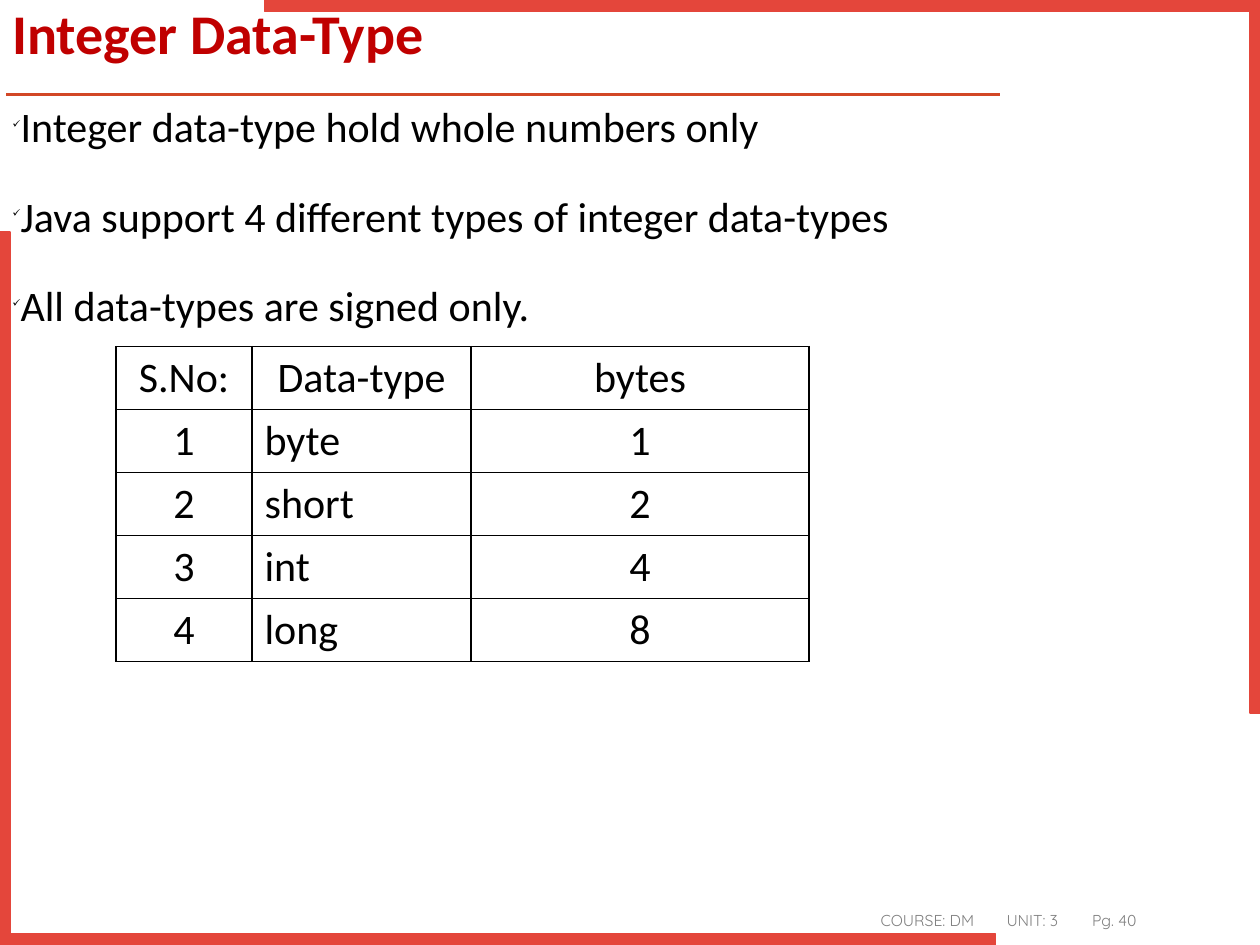
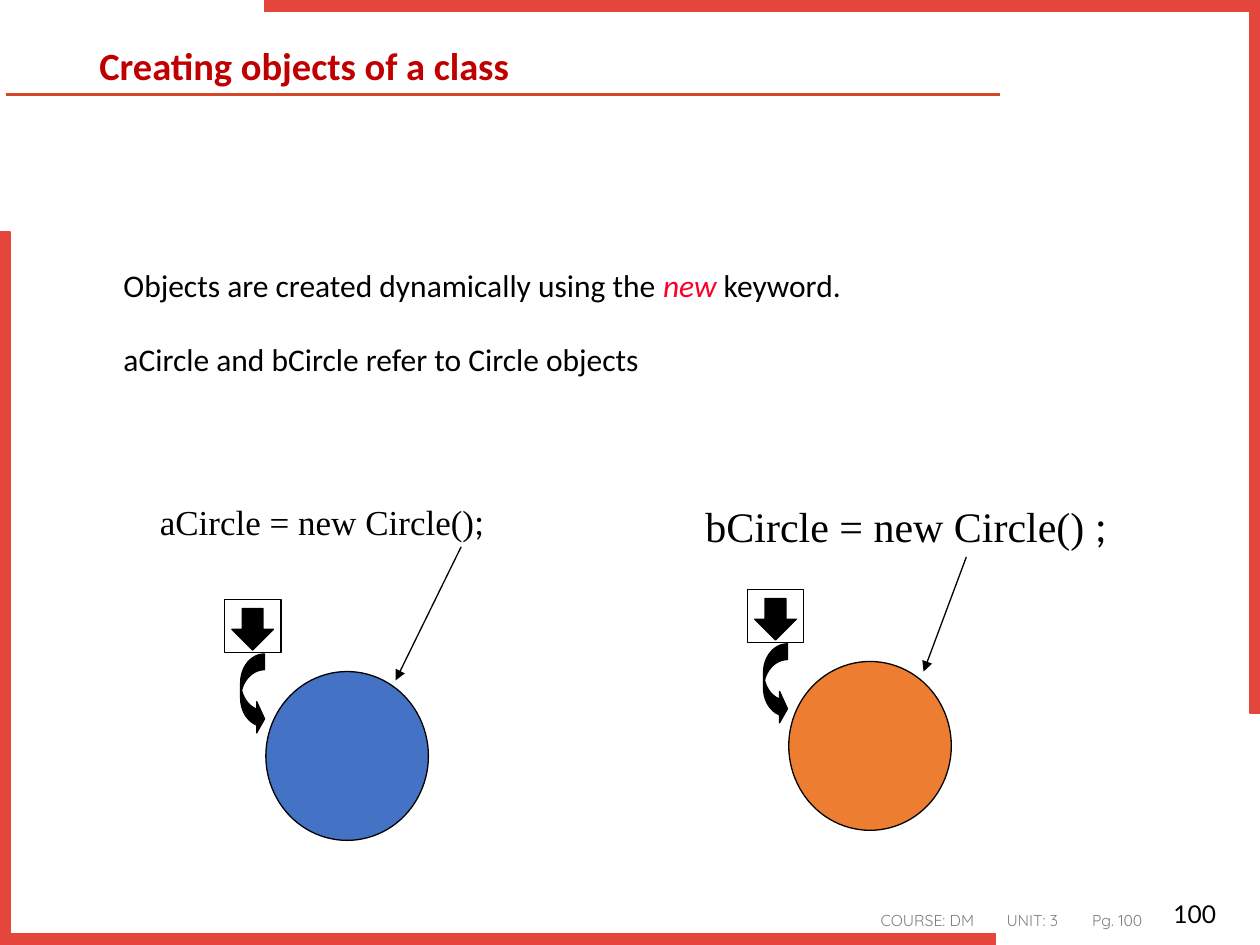
from dataclasses import dataclass

from lxml import etree
from pptx import Presentation
from pptx.dml.color import RGBColor
from pptx.enum.shapes import MSO_CONNECTOR, MSO_SHAPE
from pptx.enum.text import MSO_ANCHOR, PP_ALIGN
from pptx.oxml.ns import qn
from pptx.util import Inches, Pt

STRAIGHT = MSO_CONNECTOR.STRAIGHT
CORNER, RECTANGLE, OVAL = MSO_SHAPE.CORNER, MSO_SHAPE.RECTANGLE, MSO_SHAPE.OVAL
CURVED_ARROW, DOWN_ARROW = MSO_SHAPE.CURVED_RIGHT_ARROW, MSO_SHAPE.DOWN_ARROW
TOP, MIDDLE, BOTTOM = MSO_ANCHOR.TOP, MSO_ANCHOR.MIDDLE, MSO_ANCHOR.BOTTOM
LEFT, CENTER, RIGHT = PP_ALIGN.LEFT, PP_ALIGN.CENTER, PP_ALIGN.RIGHT

FRAME_RED, RULE_RED, TITLE_RED, KEYWORD_RED = "E4463B", "D24726", "C00000", "FC0128"
BLACK, WHITE, GRAY = "000000", "FFFFFF", "808080"
BLUE, ORANGE = "4472C4", "ED7D31"
BODY_FONT, FOOTER_FONT, NUMBER_FONT, CODE_FONT = (
    "Calibri", "Quicksand", "Lato", "Times New Roman")


@dataclass(frozen=True)
class Span:
    text: str
    size: float
    font: str = BODY_FONT
    color: str = BLACK
    bold: bool = False
    italic: bool = False


@dataclass(frozen=True)
class Place:
    left: float
    top: float
    width: float
    height: float

    def lengths(self) -> tuple:
        return tuple(Inches(n) for n in (self.left, self.top, self.width, self.height))


@dataclass(frozen=True)
class ObjectDiagram:
    """A constructor call, its reference box and the circle it refers to."""
    label: tuple
    label_place: Place
    left: float
    top: float
    fill: str
    pointer_start: tuple
    pointer_end: tuple


DIAGRAMS = (
    ObjectDiagram((Span("bCircle = new Circle() ", 24, CODE_FONT), Span(";", 24, NUMBER_FONT)),
                  Place(5.5, 3.92, 4.25, 0.51), 5.93, 4.68, ORANGE,
                  (7.67, 4.42), (7.33, 5.33)),
    ObjectDiagram((Span("aCircle = new Circle()", 20, CODE_FONT), Span(";", 20, NUMBER_FONT)),
                  Place(1.17, 3.92, 3.42, 0.44), 1.78, 4.76, BLUE,
                  (3.66, 4.34), (3.14, 5.4)),
)
INTEGER_TYPES = (
    ("S.No:", "Data-type", "bytes"),
    ("1", "byte", "1"),
    ("2", "short", "2"),
    ("3", "int", "4"),
    ("4", "long", "8"),
)
TYPE_COLUMNS = (1.08, 1.74, 2.68)


def rgb(color: str) -> RGBColor:
    return RGBColor.from_string(color)


def write_spans(para, spans) -> None:
    for span in spans:
        run = para.add_run()
        run.text = span.text
        font = run.font
        font.name, font.size = span.font, Pt(span.size)
        font.bold, font.italic = span.bold, span.italic
        font.color.rgb = rgb(span.color)


def add_text(page, place: Place, *lines, anchor=TOP, align=LEFT, spacing=None):
    """Add a text box with one paragraph for each tuple of spans."""
    box = page.shapes.add_textbox(*place.lengths())
    frame = box.text_frame
    frame.word_wrap = True
    frame.vertical_anchor = anchor
    for index, spans in enumerate(lines):
        para = frame.add_paragraph() if index else frame.paragraphs[0]
        para.alignment = align
        if spacing:
            para.line_spacing = spacing
        write_spans(para, spans)
    return frame


def add_body(page, place: Place, *lines):
    frame = add_text(page, place, *lines, spacing=1.2)
    for index, para in enumerate(frame.paragraphs):
        para.space_before = Pt(7.5 if index else 0)
        para.space_after = Pt(9)
    return frame


def add_check_bullet(para) -> None:
    properties = para._p.get_or_add_pPr()
    etree.SubElement(properties, qn("a:buSzPct"), val="25000")
    etree.SubElement(properties, qn("a:buChar"), char="✓")


def add_figure(page, kind, place: Place, fill: str, line=BLACK, weight=0.75, adjustments=()):
    figure = page.shapes.add_shape(kind, *place.lengths())
    figure.shadow.inherit = False
    figure.fill.solid()
    figure.fill.fore_color.rgb = rgb(fill)
    figure.line.color.rgb = rgb(line)
    figure.line.width = Pt(weight)
    for index, value in enumerate(adjustments):
        figure.adjustments[index] = value
    return figure


def add_line(page, start, end, color: str, weight: float, arrow=False) -> None:
    ends = [Inches(n) for n in (*start, *end)]
    connector = page.shapes.add_connector(STRAIGHT, *ends)
    connector.line.color.rgb = rgb(color)
    connector.line.width = Pt(weight)
    properties = connector._element.spPr
    if arrow:
        etree.SubElement(properties.find(qn("a:ln")), qn("a:tailEnd"), type="triangle")
    etree.SubElement(properties, qn("a:effectLst"))


def add_footer(page, number: int) -> None:
    text = f"COURSE: DM\tUNIT: 3\tPg. {number}"
    frame = add_text(page, Place(6.89, 7.18, 2.5, 0.22),
                     (Span(text, 9, FOOTER_FONT, GRAY),))
    para = frame.paragraphs[0]
    para.space_after = Pt(6)
    tabs = etree.SubElement(para._p.get_or_add_pPr(), qn("a:tabLst"))
    for position in (1, 1.68):
        etree.SubElement(tabs, qn("a:tab"), pos=str(Inches(position)), algn="l")


def add_page(deck, title: str, title_place: Place, title_size: float, number: int):
    """Add a page with the shared frame, rule, footer and title."""
    page = deck.slides.add_slide(deck.slide_layouts[6])
    add_line(page, (0.05, 0.75), (7.94, 0.75), RULE_RED, 2)
    for left, top, rotation in ((2.1, 0, 180), (0, 1.84, 0)):
        corner = add_figure(page, CORNER, Place(left, top, 7.9, 5.66), FRAME_RED,
                            FRAME_RED, 1, (0.016, 0.014))
        corner.rotation = rotation
    add_footer(page, number)
    add_text(page, title_place, (Span(title, title_size, color=TITLE_RED, bold=True),),
             anchor=MIDDLE, spacing=0.9)
    return page


def add_cell_borders(cell) -> None:
    properties = cell._tc.get_or_add_tcPr()
    for index, side in enumerate(("lnL", "lnR", "lnT", "lnB")):
        border = etree.Element(qn(f"a:{side}"), w=str(Pt(1)))
        fill = etree.SubElement(border, qn("a:solidFill"))
        etree.SubElement(fill, qn("a:srgbClr"), val=BLACK)
        properties.insert(index, border)


def add_type_table(page) -> None:
    place = Place(0.92, 2.75, sum(TYPE_COLUMNS), 2.5)
    table = page.shapes.add_table(len(INTEGER_TYPES), len(TYPE_COLUMNS),
                                  *place.lengths()).table
    table.first_row = table.horz_banding = False
    for column, width in zip(table.columns, TYPE_COLUMNS):
        column.width = Inches(width)
    for row, values in enumerate(INTEGER_TYPES):
        for column, value in enumerate(values):
            cell = table.cell(row, column)
            cell.fill.background()
            add_cell_borders(cell)
            para = cell.text_frame.paragraphs[0]
            para.alignment = LEFT if row and column == 1 else CENTER
            write_spans(para, (Span(value, 24),))


def add_diagram(page, diagram: ObjectDiagram) -> None:
    left, top = diagram.left, diagram.top
    add_text(page, diagram.label_place, diagram.label)
    add_figure(page, RECTANGLE, Place(left, top, 0.45, 0.42), WHITE)
    add_figure(page, CURVED_ARROW, Place(left + 0.13, top + 0.43, 0.19, 0.64), BLACK,
               adjustments=(0.66, 1.31, 0.33))
    add_figure(page, OVAL, Place(left + 0.33, top + 0.57, 1.29, 1.34), diagram.fill)
    add_line(page, diagram.pointer_start, diagram.pointer_end, BLACK, 0.75, arrow=True)
    add_figure(page, DOWN_ARROW, Place(left + 0.06, top + 0.07, 0.33, 0.33), BLACK)


def build_integer_page(deck) -> None:
    page = add_page(deck, "Integer Data-Type", Place(0, 0, 10, 0.58), 32, 40)
    frame = add_body(
        page, Place(0, 0.67, 10, 6.83),
        (Span("Integer data-type hold whole numbers only", 24),),
        (Span("Java support 4 different types of integer data-types", 24),),
        (Span("All data-types are signed only.", 24),))
    for para in frame.paragraphs:
        add_check_bullet(para)
    add_type_table(page)


def build_object_page(deck) -> None:
    number = 100
    page = add_page(deck, "Creating objects of a class", Place(0.69, 0.28, 7.22, 0.52),
                    22, number)
    add_text(page, Place(7.67, 6.92, 2.08, 0.5), (Span(str(number), 14, NUMBER_FONT),),
             anchor=BOTTOM, align=RIGHT)
    frame = add_body(
        page, Place(0.5, 1.75, 9.01, 5),
        (Span("Objects are created dynamically using the ", 18),
         Span("new", 18, color=KEYWORD_RED, italic=True),
         Span(" keyword.", 18)),
        (Span("aCircle and bCircle refer to Circle objects", 18),))
    frame.margin_left, frame.margin_top = Inches(0.48), Inches(0.3)
    for diagram in DIAGRAMS:
        add_diagram(page, diagram)


def main() -> None:
    deck = Presentation()
    deck.slide_width, deck.slide_height = Inches(10), Inches(7.5)
    build_integer_page(deck)
    build_object_page(deck)
    deck.save("out.pptx")


if __name__ == "__main__":
    main()
